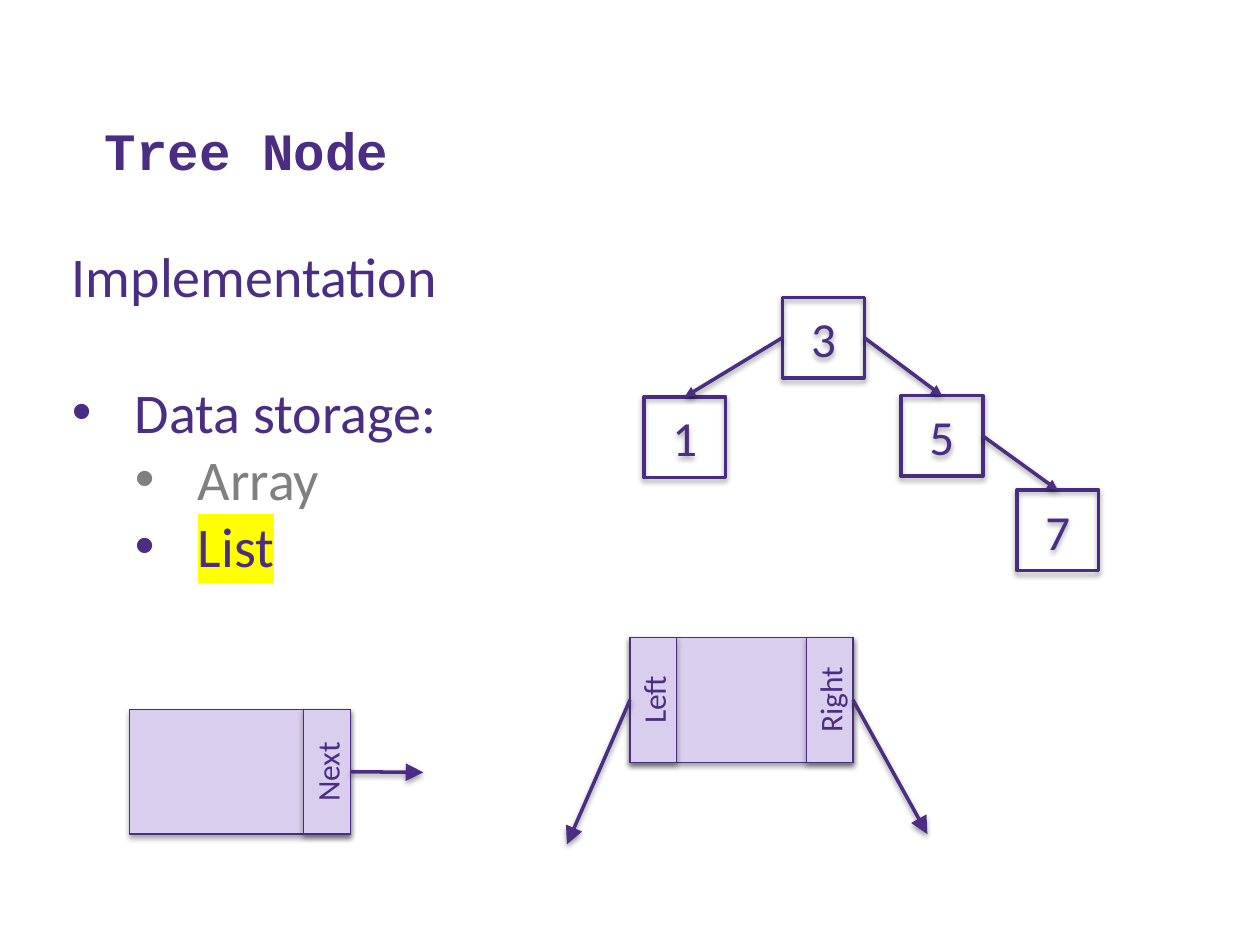
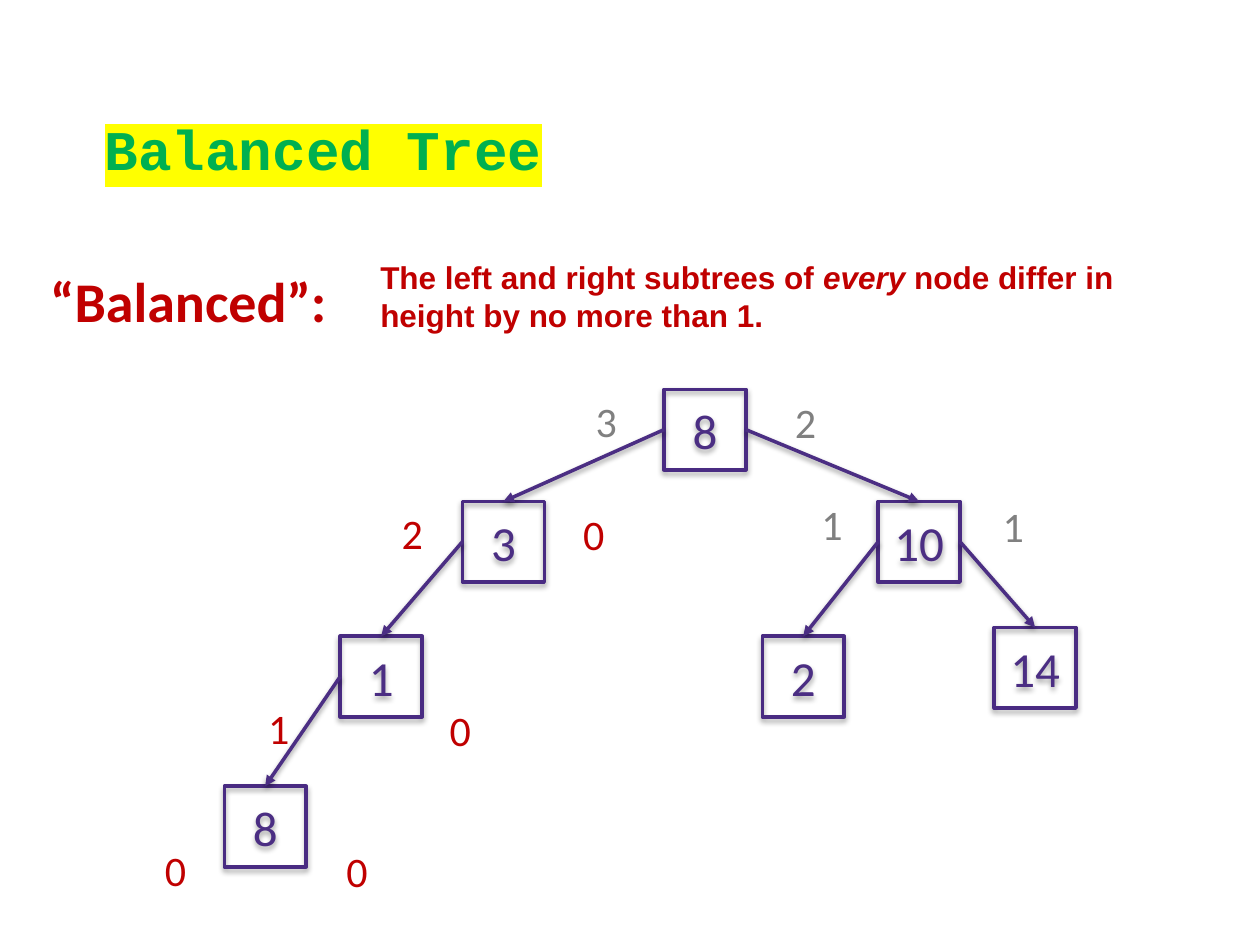
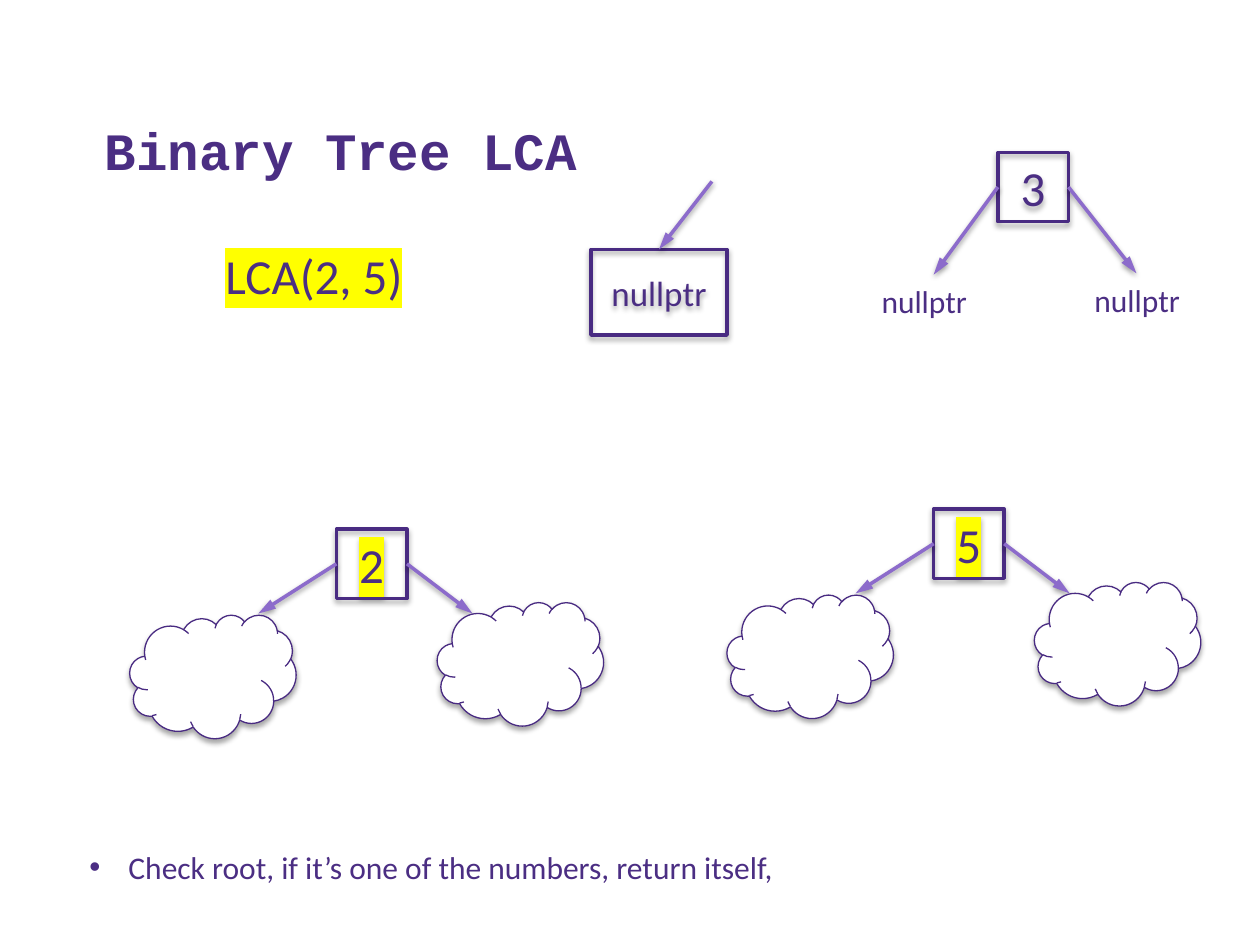
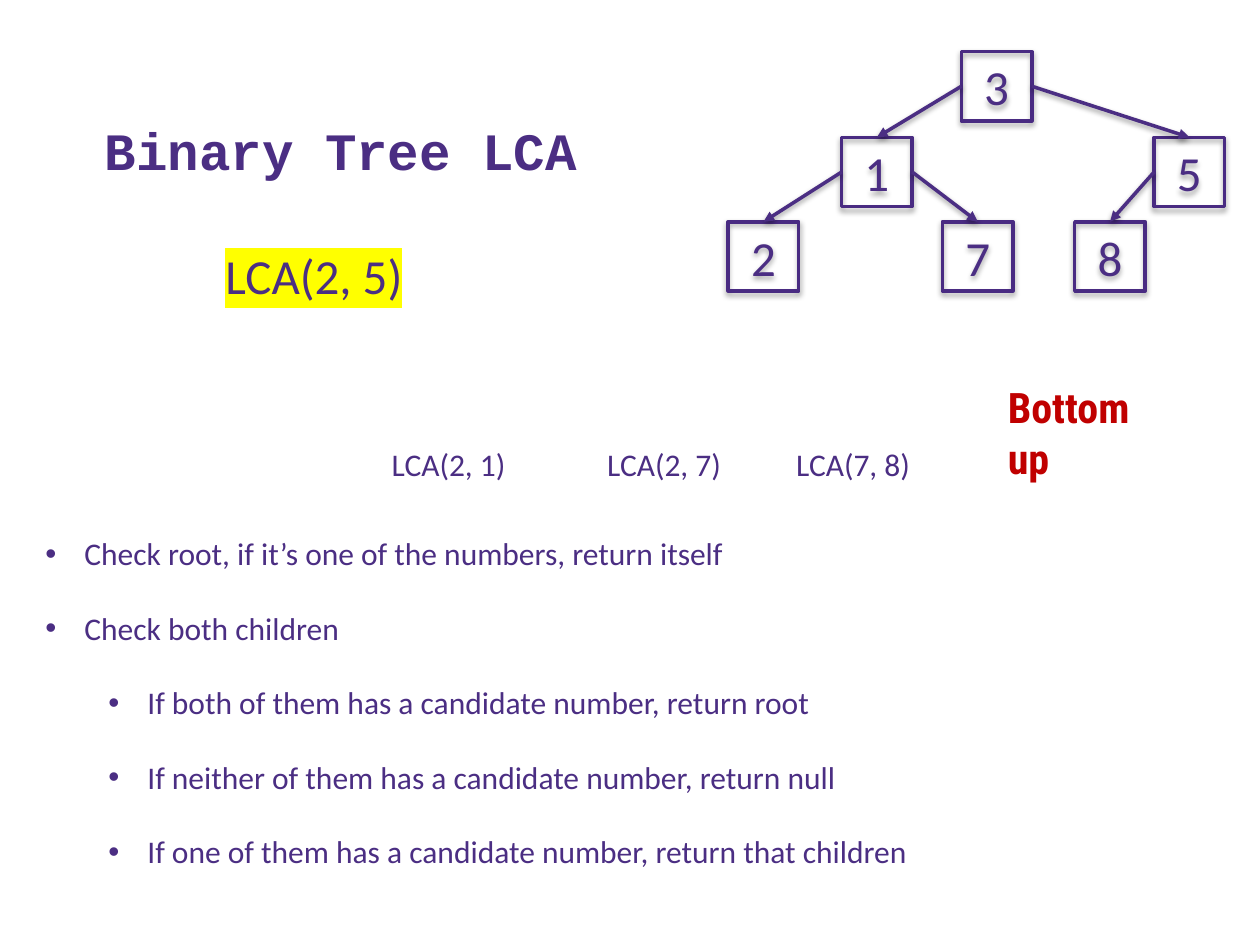
"""Builds four slides on tree nodes, balanced trees and lowest common ancestors."""
from lxml.etree import SubElement
from pptx import Presentation
from pptx.dml.color import RGBColor
from pptx.enum.shapes import MSO_CONNECTOR, MSO_SHAPE
from pptx.enum.text import MSO_ANCHOR, MSO_AUTO_SIZE, PP_ALIGN
from pptx.oxml.ns import qn
from pptx.util import Pt

SCALE = 9144
COLORS = {
    "purple": "4B2E83",
    "outline": "492B82",
    "light": "8C6BCB",
    "lilac": "D9CEEE",
    "white": "FFFFFF",
    "gray": "808080",
    "red": "C00000",
    "green": "00B050",
    "yellow": "FFFF00",
}
TOP, LEFT, RIGHT = 0, 1, 3
TITLE_AND_BODY, TITLE_ONLY = 1, 5
SMALL_NODE = (56, 55)
LARGE_NODE = (65, 64)


def px(*lengths):
    return [length * SCALE for length in lengths]


class Deck:
    def __init__(self):
        self.prs = Presentation()
        self.prs.slide_width, self.prs.slide_height = px(1000, 750)
        self.slide = None

    def color(self, name):
        return RGBColor.from_string(COLORS[name])

    def style(self, run, size, color="purple", font="Calibri", bold=False, mark=False):
        run.font.size = Pt(size)
        run.font.bold = bold
        run.font.name = font
        run.font.color.rgb = self.color(color)
        if mark:
            props = run.font._element
            highlight = SubElement(props, qn("a:highlight"))
            SubElement(highlight, qn("a:srgbClr"), val=COLORS["yellow"])
            props.find(qn("a:solidFill")).addnext(highlight)

    def place(self, shape, x, y, width, height):
        shape.left, shape.top, shape.width, shape.height = px(x, y, width, height)

    def new_slide(self, heading, layout=TITLE_AND_BODY, size=30, color="purple", mark=False):
        self.slide = self.prs.slides.add_slide(self.prs.slide_layouts[layout])
        title = self.slide.shapes.title
        self.place(title, 73, 41, 895, 108)
        frame = title.text_frame
        frame.text = heading
        frame.auto_size = MSO_AUTO_SIZE.NONE
        frame.vertical_anchor = MSO_ANCHOR.BOTTOM
        frame.paragraphs[0].alignment = PP_ALIGN.LEFT
        self.style(frame.paragraphs[0].runs[0], size, color, "Courier New", True, mark)

    def bullets(self, box, items, size, hang):
        """Items are (text, level or None for no bullet, space before, run style)."""
        body = self.slide.placeholders[1]
        self.place(body, *box)
        frame = body.text_frame
        frame.text = "\n".join(item[0] for item in items)
        frame.auto_size = MSO_AUTO_SIZE.NONE
        frame.word_wrap = True
        for paragraph, (_, level, before, look) in zip(frame.paragraphs, items):
            props = paragraph._p.get_or_add_pPr()
            if level is None:
                margin = indent = 0
                SubElement(props, qn("a:buNone"))
            else:
                paragraph.level = level
                margin, indent = hang + 50 * level, -hang
                SubElement(props, qn("a:buFont"), typeface="Arial")
                SubElement(props, qn("a:buChar"), char="•")
            props.set("marL", str(margin * SCALE))
            props.set("indent", str(indent * SCALE))
            paragraph.space_before = Pt(before)
            self.style(paragraph.runs[0], size, **look)

    def label(self, text, box, size, wrap=False, align=PP_ALIGN.LEFT, **look):
        frame = self.slide.shapes.add_textbox(*px(*box)).text_frame
        frame.text = text
        frame.word_wrap = wrap
        if not wrap:
            frame.auto_size = MSO_AUTO_SIZE.SHAPE_TO_FIT_TEXT
        frame.paragraphs[0].alignment = align
        self.style(frame.paragraphs[0].runs[0], size, **look)
        return frame.paragraphs[0]

    def shape(self, box, text="", size=28, kind=MSO_SHAPE.RECTANGLE, fill=None,
              line="outline", weight=2, **look):
        shape = self.slide.shapes.add_shape(kind, *px(*box))
        if fill:
            shape.fill.solid()
            shape.fill.fore_color.rgb = self.color(fill)
        else:
            shape.fill.background()
        shape.line.color.rgb = self.color(line)
        shape.line.width = Pt(weight)
        if text:
            paragraph = shape.text_frame.paragraphs[0]
            paragraph.text = text
            paragraph.alignment = PP_ALIGN.CENTER
            self.style(paragraph.runs[0], size, **look)
        return shape

    def arrow(self, start, end, color="purple", head=("med", "med")):
        """Each end is a point (x, y) or a pair (shape, side)."""
        arrow = self.slide.shapes.add_connector(MSO_CONNECTOR.STRAIGHT, 0, 0, 0, 0)
        if isinstance(start[0], int):
            arrow.begin_x, arrow.begin_y = px(*start)
        else:
            arrow.begin_connect(*start)
        if isinstance(end[0], int):
            arrow.end_x, arrow.end_y = px(*end)
        else:
            arrow.end_connect(*end)
        arrow.line.color.rgb = self.color(color)
        arrow.line.width = Pt(2)
        SubElement(arrow.line._get_or_add_ln(), qn("a:tailEnd"),
                   type="triangle", w=head[0], len=head[1])

    def light_arrow(self, start, end):
        self.arrow(start, end, "light", ("med", "lg"))

    def tree(self, node_size, root, children):
        """Children are (text, x, y, index of the parent, side of the parent)."""
        text, x, y = root
        nodes = [self.shape((x, y, *node_size), text)]
        for text, x, y, parent, side in children:
            nodes.append(self.shape((x, y, *node_size), text))
            self.arrow((nodes[parent], side), (nodes[-1], TOP))

    def record(self, x, y, width, pointers):
        """Pointers are (text, side, tip of the arrow)."""
        look = {"fill": "lilac", "line": "purple", "weight": 0.75}
        height, cell = 99, 37
        block = self.shape((x, y, width, height), **look)
        for text, side, tip in pointers:
            cell_x = x if side == LEFT else x + width - cell
            shift = (height - cell) // 2
            field = self.shape((cell_x - shift, y + shift, height, cell), text, 18, **look)
            field.rotation = 270
            self.arrow((block, side), tip, head=("lg", "lg"))

    def cloud_tree(self, text, x, y):
        root = self.shape((x, y, *SMALL_NODE), text, mark=True)
        self.light_arrow((root, LEFT), (x - 62, y + 67))
        self.light_arrow((root, RIGHT), (x + 108, y + 67))
        for dx, dy in ((-164, 68), (80, 58)):
            self.shape((x + dx, y + dy, 132, 98), kind=MSO_SHAPE.CLOUD,
                       fill="white", weight=0.75)

    def query(self):
        self.label("LCA(2, 5)", (169, 190, 162, 57), 28, mark=True)


def tree_node(deck):
    deck.new_slide("Tree Node")
    deck.bullets((47, 187, 314, 333), [
        ("Implementation", None, 0, {}),
        ("Data storage:", 0, 39, {}),
        ("Array", 1, 0, {"color": "gray"}),
        ("List", 1, 0, {"mark": True}),
    ], 32, 50)
    deck.tree(LARGE_NODE, ("3", 621, 236), [
        ("1", 511, 315, 0, LEFT),
        ("5", 715, 314, 0, RIGHT),
        ("7", 807, 389, 2, RIGHT),
    ])
    deck.record(103, 563, 175, [("Next", RIGHT, (336, 613))])
    deck.record(500, 506, 177, [("Left", LEFT, (450, 670)), ("Right", RIGHT, (736, 662))])


def balanced_tree(deck):
    deck.new_slide("Balanced Tree", TITLE_ONLY, 32, "green", True)
    deck.label("“Balanced”:", (30, 207, 262, 64), 32, color="red", bold=True)
    look = {"color": "red", "font": "Arial", "bold": True}
    definition = deck.label("The left and right subtrees of ", (292, 200, 670, 71), 18,
                            wrap=True, **look)
    for text, italic in (("every", True), (" node differ in height by no more than 1.", False)):
        run = definition.add_run()
        run.text = text
        deck.style(run, 18, **look)
        run.font.italic = italic
    deck.tree(LARGE_NODE, ("8", 527, 309), [
        ("3", 367, 398, 0, LEFT),
        ("10", 697, 398, 0, RIGHT),
        ("14", 789, 498, 2, RIGHT),
        ("1", 270, 505, 1, LEFT),
        ("2", 605, 505, 2, LEFT),
        ("8", 178, 624, 4, LEFT),
    ])
    subtree_heights = [
        ("2", "0", 309, 398, 144, "red"),
        ("3", "2", 463, 309, 158, "gray"),
        ("1", "1", 642, 391, 144, "gray"),
        ("1", "0", 203, 553, 144, "red"),
        ("0", "0", 121, 665, 144, "red"),
    ]
    for left, right, x, y, gap, color in subtree_heights:
        deck.label(left, (x, y, 37, 50), 24, color=color)
        deck.label(right, (x + gap, y + 1, 37, 50), 24, color=color)


def lca_cases(deck):
    deck.new_slide("Binary Tree LCA")
    deck.query()
    deck.cloud_tree("2", 267, 420)
    deck.cloud_tree("5", 741, 404)
    deck.bullets((61, 668, 627, 40), [
        ("Check root, if it’s one of the numbers, return itself,", 0, 0, {}),
    ], 18, 31)
    empty_root = deck.shape((469, 198, 108, 68), "nullptr", 20)
    deck.light_arrow((565, 144), (empty_root, TOP))
    leaf = deck.shape((792, 121, *SMALL_NODE), "3")
    for side, tip, x, y in ((LEFT, (741, 218), 689, 219), (RIGHT, (902, 217), 858, 218)):
        deck.light_arrow((leaf, side), tip)
        deck.label("nullptr", (x, y, 89, 40), 18, align=PP_ALIGN.CENTER)


def lca_bottom_up(deck):
    deck.new_slide("Binary Tree LCA")
    deck.query()
    deck.bullets((26, 419, 713, 331), [
        ("Check root, if it’s one of the numbers, return itself", 0, 0, {}),
        ("Check both children", 0, 21, {}),
        ("If both of them has a candidate number, return root", 1, 21, {}),
        ("If neither of them has a candidate number, return null", 1, 21, {}),
        ("If one of them has a candidate number, return that children", 1, 21, {}),
    ], 18, 31)
    deck.tree(SMALL_NODE, ("3", 763, 41), [
        ("1", 668, 109, 0, LEFT),
        ("5", 916, 109, 0, RIGHT),
        ("8", 853, 176, 2, LEFT),
        ("2", 578, 176, 1, LEFT),
        ("7", 748, 176, 1, RIGHT),
    ])
    for text, x in (("LCA(2, 1)", 301), ("LCA(2, 7)", 472), ("LCA(7, 8)", 622)):
        deck.label(text, (x, 348, 118, 40), 18)
    deck.label("Bottom up", (790, 298, 140, 50), 24, wrap=True,
               color="red", font="Roboto Condensed", bold=True)


def main():
    deck = Deck()
    for build in (tree_node, balanced_tree, lca_cases, lca_bottom_up):
        build(deck)
    deck.prs.save("out.pptx")


if __name__ == "__main__":
    main()
